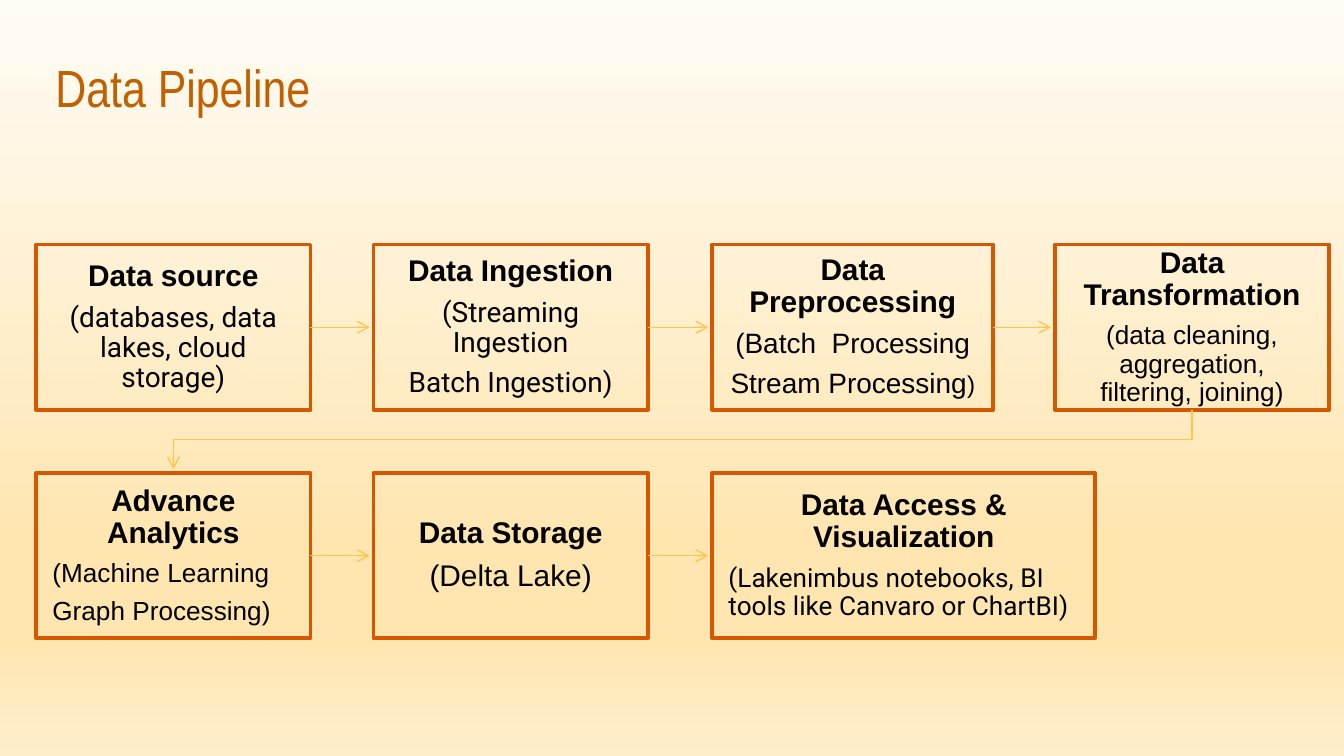
import pptx
import pptx.dml.color
import pptx.enum.shapes
import pptx.enum.text
import pptx.oxml
import pptx.oxml.ns
import pptx.util
from pptx.util import Inches

COLORS = {
    "title": "C06000",
    "text": "000000",
    "border": "D55800",
    "arrow": "FFC64E",
}
BACKGROUND_STOPS = [(0, "FFFCF6"), (74, "FFE5AF"), (83, "FFE5AF"), (100, "FFEECA")]

COLUMNS = [0.27, 2.78, 5.3, 7.85]
ROWS = [1.82, 3.52]
STAGE_WIDTH, STAGE_HEIGHT = 2.04, 1.23
ARROW_GAP = 0.03
HEADING_SIZE = 16

CENTER = pptx.enum.text.PP_ALIGN.CENTER
LEFT = pptx.enum.text.PP_ALIGN.LEFT

# Per row: heading, detail lines, detail size, detail font, detail alignment, width
STAGES = [
    [
        ("Data source", ["(databases, data lakes, cloud storage)"],
         15, "Roboto", CENTER, STAGE_WIDTH),
        ("Data Ingestion", ["(Streaming Ingestion", "Batch Ingestion)"],
         15, "Roboto", CENTER, STAGE_WIDTH),
        ("Data Preprocessing", ["(Batch  Processing", "Stream Processing"],
         15, "Arial", CENTER, 2.09),
        ("Data Transformation", ["(data cleaning, aggregation, filtering, joining)"],
         14, "Arial", CENTER, STAGE_WIDTH),
    ],
    [
        ("Advance Analytics", ["(Machine Learning", "Graph Processing)"],
         14, "Arial", LEFT, STAGE_WIDTH),
        ("Data Storage", ["(Delta Lake)"],
         16, "Arial", CENTER, STAGE_WIDTH),
        ("Data Access & Visualization", ["(Lakenimbus notebooks, BI tools like Canvaro or ChartBI)"],
         14, "Roboto", LEFT, 2.85),
    ],
]


def rgb(name):
    return pptx.dml.color.RGBColor.from_string(COLORS[name])


def style_run(run, size, font, color, bold=False):
    run.font.size = pptx.util.Pt(size)
    run.font.name = font
    run.font.bold = bold
    run.font.color.rgb = rgb(color)


def paint_background(slide):
    fill = slide.background.fill
    fill.gradient()
    fill.gradient_angle = 270
    stops = next(slide.element.iter(pptx.oxml.ns.qn("a:gsLst")))
    for stop in list(stops):
        stops.remove(stop)
    for percent, color in BACKGROUND_STOPS:
        stops.append(pptx.oxml.parse_xml(
            f'<a:gs {pptx.oxml.ns.nsdecls("a")} pos="{percent * 1000}">'
            f'<a:srgbClr val="{color}"/></a:gs>'))


def add_title(slide, text):
    title = slide.shapes.title
    title.left, title.top = Inches(0.26), Inches(0.36)
    title.width, title.height = Inches(2.2), Inches(0.57)
    frame = title.text_frame
    frame.text = text
    frame.word_wrap = False
    frame.auto_size = pptx.enum.text.MSO_AUTO_SIZE.NONE
    frame.vertical_anchor = pptx.enum.text.MSO_ANCHOR.MIDDLE
    frame.paragraphs[0].alignment = CENTER
    style_run(frame.paragraphs[0].runs[0], 28, "Arial Narrow", "title")


def add_stage_line(paragraph, text, size, font, alignment, bold=False):
    paragraph.text = text
    paragraph.alignment = alignment
    paragraph.line_spacing = 0.9
    paragraph.space_after = pptx.util.Pt(round(0.35 * size, 1))
    style_run(paragraph.runs[0], size, font, "text", bold)


def add_stage(slide, left, top, heading, details, size, font, alignment, width):
    stage = slide.shapes.add_shape(
        pptx.enum.shapes.MSO_SHAPE.RECTANGLE,
        Inches(left), Inches(top), Inches(width), Inches(STAGE_HEIGHT))
    stage.shadow.inherit = False
    stage.fill.background()
    stage.line.color.rgb = rgb("border")
    stage.line.width = pptx.util.Pt(2)

    frame = stage.text_frame
    frame.word_wrap = True
    frame.vertical_anchor = pptx.enum.text.MSO_ANCHOR.MIDDLE
    frame.margin_left = frame.margin_right = Inches(0.12)
    frame.margin_top = frame.margin_bottom = Inches(0.12)
    add_stage_line(frame.paragraphs[0], heading, HEADING_SIZE, "Arial", CENTER, bold=True)
    for detail in details:
        add_stage_line(frame.add_paragraph(), detail, size, font, alignment)
    return stage


def add_arrow(slide, kind, start, end):
    arrow = slide.shapes.add_connector(
        kind, Inches(start[0]), Inches(start[1]), Inches(end[0]), Inches(end[1]))
    arrow.line.color.rgb = rgb("arrow")
    arrow.line.width = pptx.util.Pt(0.75)
    namespace = pptx.oxml.ns.nsdecls("a")
    arrow.element.spPr.find(pptx.oxml.ns.qn("a:ln")).append(
        pptx.oxml.parse_xml(f'<a:tailEnd {namespace} type="arrow"/>'))
    arrow.element.spPr.append(pptx.oxml.parse_xml(f"<a:effectLst {namespace}/>"))
    return arrow


def add_row_return(slide):
    """Lead from under the last stage of the first row to the top of the second row."""
    right, left = (COLUMNS[column] + STAGE_WIDTH / 2 for column in (-1, 0))
    top, bottom = ROWS[0] + STAGE_HEIGHT, ROWS[1] - ARROW_GAP
    center_x, center_y = (left + right) / 2, (top + bottom) / 2
    # Laid out lying down, then turned a quarter so that it starts and ends vertically
    half_width, half_height = (bottom - top) / 2, (right - left) / 2
    arrow = add_arrow(
        slide, pptx.enum.shapes.MSO_CONNECTOR.ELBOW,
        (center_x - half_width, center_y - half_height),
        (center_x + half_width, center_y + half_height))
    arrow.element.spPr.find(pptx.oxml.ns.qn("a:xfrm")).set("rot", str(90 * 60000))


def add_pipeline(slide):
    for top, stages in zip(ROWS, STAGES):
        middle = top + STAGE_HEIGHT / 2
        for column, (left, content) in enumerate(zip(COLUMNS, stages)):
            stage = add_stage(slide, left, top, *content)
            if content[0] == "Data Preprocessing":
                bracket = stage.text_frame.paragraphs[-1].add_run()
                bracket.text = ")"
                style_run(bracket, 13, "Arial", "text")
            if column + 1 < len(stages):
                add_arrow(slide, pptx.enum.shapes.MSO_CONNECTOR.STRAIGHT,
                          (left + content[-1], middle),
                          (COLUMNS[column + 1] - ARROW_GAP, middle))
    add_row_return(slide)


def main():
    presentation = pptx.Presentation()
    presentation.slide_width = Inches(10)
    presentation.slide_height = Inches(10 * 9 / 16)
    slide = presentation.slides.add_slide(presentation.slide_layouts[5])
    paint_background(slide)
    add_title(slide, "Data Pipeline")
    add_pipeline(slide)
    presentation.save("out.pptx")


if __name__ == "__main__":
    main()
